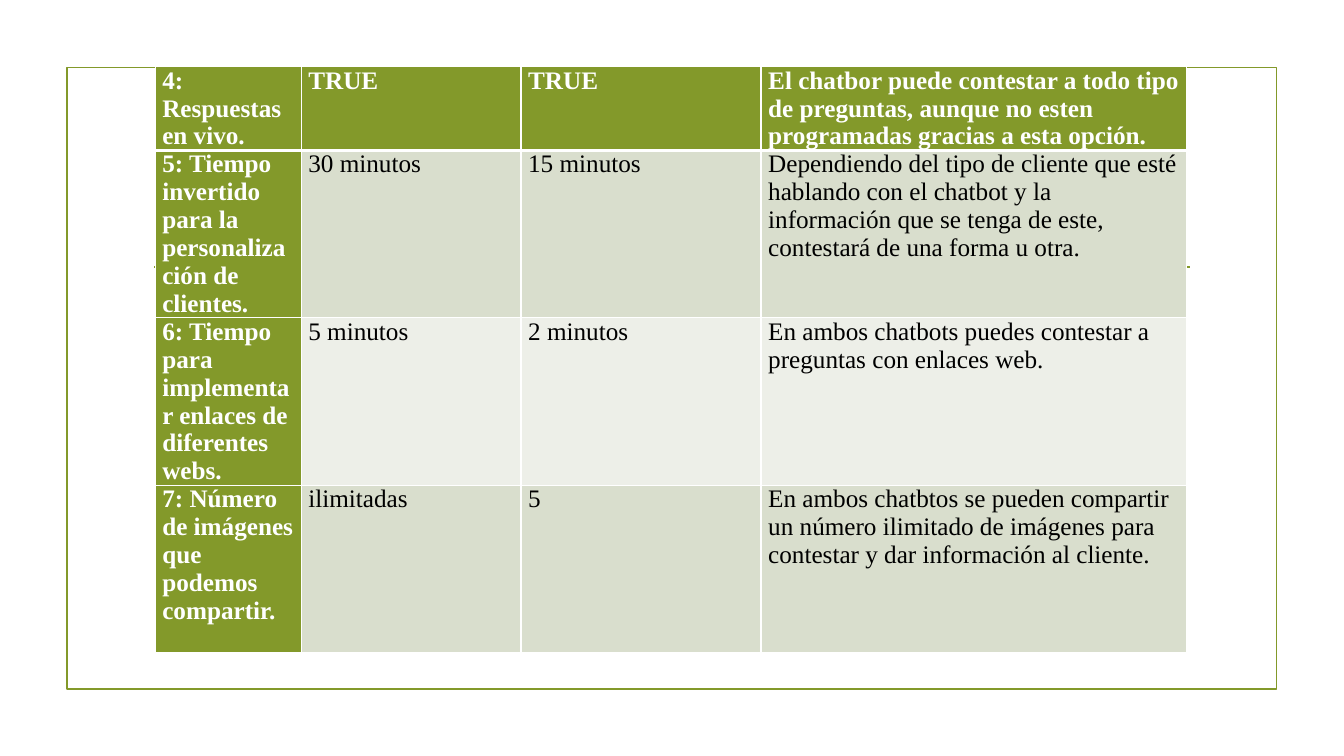
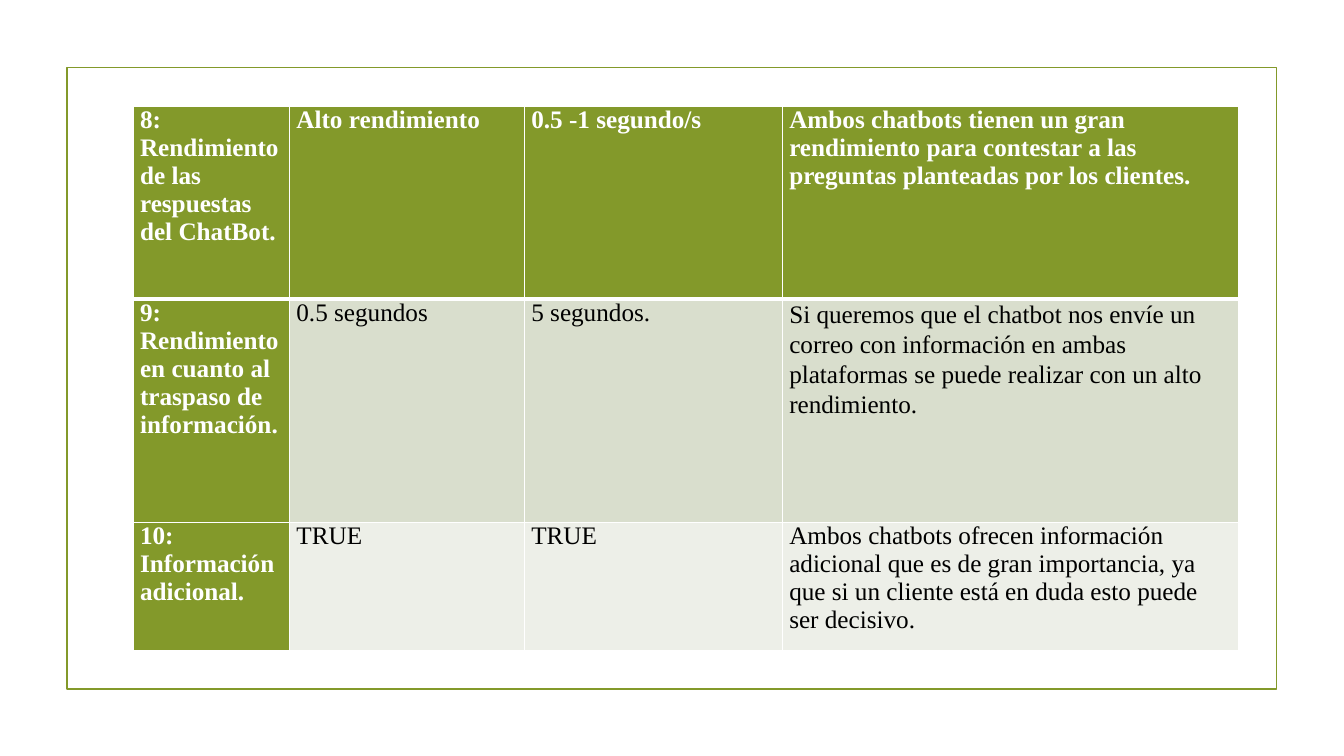
from lxml.etree import SubElement
from pptx import Presentation
from pptx.dml.color import RGBColor
from pptx.enum.shapes import MSO_CONNECTOR, MSO_SHAPE
from pptx.oxml import parse_xml
from pptx.oxml.ns import nsdecls, qn
from pptx.util import Cm, Pt

OLIVE = "83992A"
WHITE = "FFFFFF"
BLACK = "000000"
BANDS = ("D9DECD", "EDEFE8")
FONT = "Times New Roman"
TEXT_SIZE = 18
FRAME_LINE = 1.25
CELL_INSET = 0.18
THIN_BORDER = 1
HEADER_BORDER = 3

TABLES = [
    {
        "left": 3.91,
        "top": 1.68,
        "columns": [3.68, 5.54, 6.05, 10.72],
        "heights": [2.11, 4.22, 4.22, 4.22],
        "rows": [
            ["4: Respuestas en vivo.", "TRUE", "TRUE",
             "El chatbor puede contestar a todo tipo de preguntas, aunque no esten "
             "programadas gracias a esta opción."],
            ["5: Tiempo invertido para la personalización de clientes.",
             "30 minutos", "15 minutos",
             "Dependiendo del tipo de cliente que esté hablando con el chatbot y la "
             "información que se tenga de este, contestará de una forma u otra."],
            ["6: Tiempo para implementar enlaces de diferentes webs.",
             "5 minutos", "2 minutos",
             "En ambos chatbots puedes contestar a preguntas con enlaces web."],
            ["7: Número de imágenes que podemos compartir.", "ilimitadas", "5",
             "En ambos chatbtos se pueden compartir un número ilimitado de imágenes "
             "para contestar y dar información al cliente."],
        ],
        "spacing": {},
    },
    {
        "left": 3.35,
        "top": 2.68,
        "columns": [3.94, 5.92, 6.5, 11.51],
        "heights": [4.86, 5.62, 3.23],
        "rows": [
            ["8: Rendimiento de las respuestas del ChatBot.",
             "Alto rendimiento", "0.5 -1 segundo/s",
             "Ambos chatbots tienen un gran rendimiento para contestar a las "
             "preguntas planteadas por los clientes."],
            ["9: Rendimiento en cuanto al traspaso de información.",
             "0.5 segundos", "5 segundos.",
             "Si queremos que el chatbot nos envíe un correo con información en ambas "
             "plataformas se puede realizar con un alto rendimiento."],
            ["10: Información adicional.", "TRUE", "TRUE",
             "Ambos chatbots ofrecen información adicional que es de gran "
             "importancia, ya que si un cliente está en duda esto puede ser decisivo."],
        ],
        "spacing": {(1, 3): 1.07},
    },
]


def color(value):
    return RGBColor.from_string(value)


def style_line(line):
    line.color.rgb = color(OLIVE)
    line.width = Pt(FRAME_LINE)


def add_frame(slide):
    frame = slide.shapes.add_shape(
        MSO_SHAPE.RECTANGLE, Cm(1.69), Cm(1.7), Cm(30.48), Cm(15.67))
    frame.shadow.inherit = False
    frame.fill.background()
    style_line(frame.line)


def add_rule(slide):
    rule = slide.shapes.add_connector(
        MSO_CONNECTOR.STRAIGHT, Cm(3.89), Cm(6.73), Cm(30), Cm(6.73))
    style_line(rule.line)
    SubElement(rule._element.spPr, qn("a:effectLst"))


def set_borders(cell, top, bottom):
    properties = cell._tc.get_or_add_tcPr()
    widths = {"lnL": THIN_BORDER, "lnR": THIN_BORDER, "lnT": top, "lnB": bottom}
    for position, (side, width) in enumerate(widths.items()):
        properties.insert(position, parse_xml(
            f'<a:{side} {nsdecls("a")} w="{Pt(width)}"><a:solidFill>'
            f'<a:srgbClr val="{WHITE}"/></a:solidFill></a:{side}>'))


def fill_cell(cell, text, row, column, spacing):
    emphasized = row == 0 or column == 0
    cell.margin_left = cell.margin_right = Cm(CELL_INSET)
    cell.margin_top = cell.margin_bottom = 0
    cell.fill.solid()
    cell.fill.fore_color.rgb = color(OLIVE if emphasized else BANDS[(row - 1) % 2])
    set_borders(cell,
                top=HEADER_BORDER if row == 1 else THIN_BORDER,
                bottom=HEADER_BORDER if row == 0 else THIN_BORDER)
    paragraph = cell.text_frame.paragraphs[0]
    if spacing:
        paragraph.line_spacing = spacing
    run = paragraph.add_run()
    run.text = text
    run.font.name = FONT
    run.font.size = Pt(TEXT_SIZE)
    run.font.bold = emphasized
    run.font.color.rgb = color(WHITE if emphasized else BLACK)


def add_comparison_table(slide, content):
    columns, heights = content["columns"], content["heights"]
    table = slide.shapes.add_table(
        len(heights), len(columns), Cm(content["left"]), Cm(content["top"]),
        Cm(sum(columns)), Cm(sum(heights))).table
    table.first_col = True
    for column, width in zip(table.columns, columns):
        column.width = Cm(width)
    for row, height in zip(table.rows, heights):
        row.height = Cm(height)
    for row, texts in enumerate(content["rows"]):
        for column, text in enumerate(texts):
            fill_cell(table.cell(row, column), text, row, column,
                      content["spacing"].get((row, column)))


def main():
    presentation = Presentation()
    presentation.slide_width = Cm(33.87)
    presentation.slide_height = Cm(19.05)
    for content in TABLES:
        slide = presentation.slides.add_slide(presentation.slide_layouts[6])
        add_frame(slide)
        add_rule(slide)
        add_comparison_table(slide, content)
    presentation.save("out.pptx")


if __name__ == "__main__":
    main()
